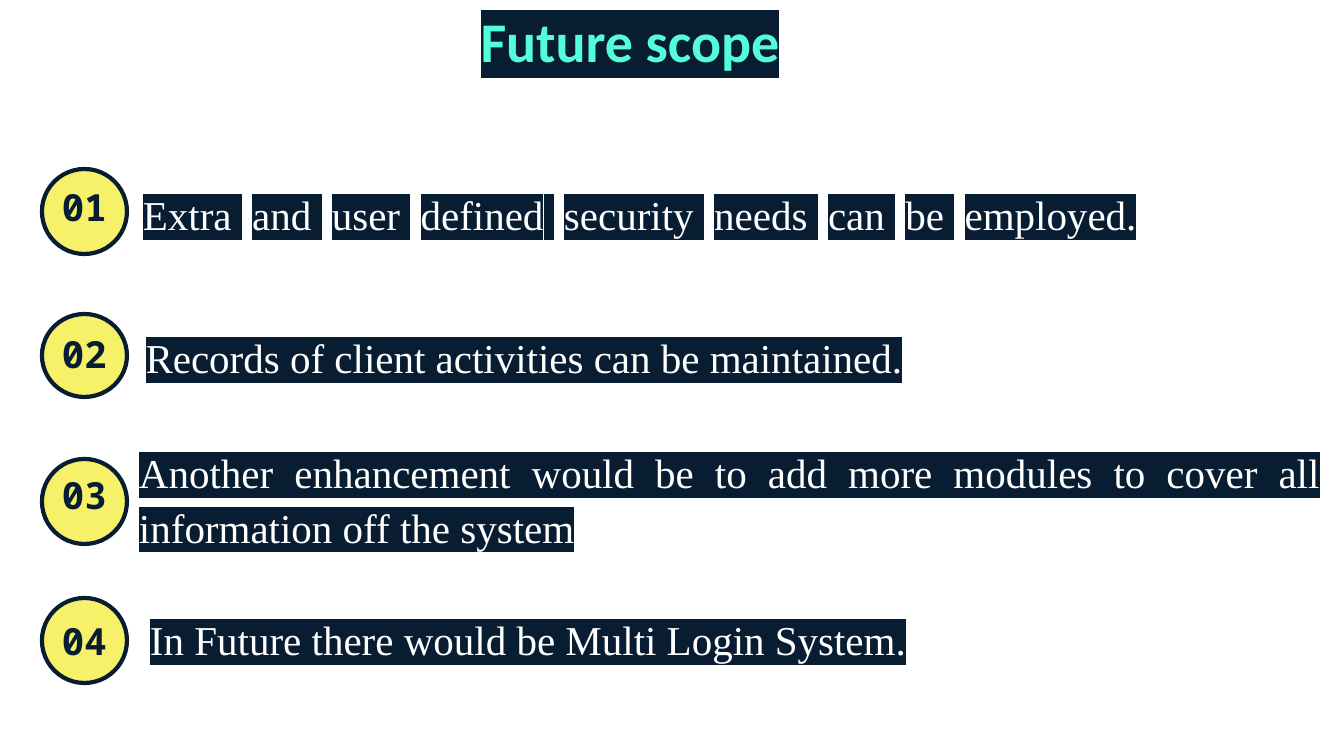
"""Build the "Future scope" slide: a title and four numbered points."""
from lxml import etree
from pptx import Presentation
from pptx.dml.color import RGBColor
from pptx.enum.shapes import MSO_SHAPE as Shape
from pptx.enum.text import MSO_ANCHOR as Anchor, PP_ALIGN as Align
from pptx.oxml.ns import qn
from pptx.util import Emu, Pt

NAVY = RGBColor(0x08, 0x1D, 0x32)
MINT = RGBColor(0x53, 0xFD, 0xD8)
YELLOW = RGBColor(0xF7, 0xF1, 0x69)
WHITE = RGBColor(0xFF, 0xFF, 0xFF)

TITLE = "Future scope"
POINTS = [
    dict(number="01", text="Extra and user defined security needs can be employed.",
         box=(106, 172, 1175, 151), inset=37, align=Align.JUSTIFY,
         circle=(169, 85), label_top=179, word_gap=7.3),
    dict(number="02", text="Records of client activities can be maintained.",
         box=(106, 315, 836, 151), inset=0, align=Align.CENTER,
         circle=(314, 83), label_top=327, word_gap=0),
    dict(number="03", text="Another enhancement would be to add more modules to cover all "
                           "information off the system",
         box=(126, 430, 1207, 151), inset=13, align=Align.JUSTIFY,
         circle=(459, 85), label_top=467, word_gap=0),
    dict(number="04", text="In Future there would be Multi Login System.",
         box=(137, 597, 1207, 151), inset=13, align=Align.JUSTIFY,
         circle=(598, 85), label_top=613, word_gap=0),
]
SLIDE_SIZE = (1344, 756)
TITLE_BOX = (64, -9, 1132, 104)
CIRCLE_LEFT, CIRCLE_WIDTH, LABEL_HEIGHT = 42, 85, 54
INSET, TITLE_INSET = 13, 16


def px(length):
    return Emu(round(length * 914400 / 100.8))


def add_box(slide, box, align, side=INSET, top=INSET, anchor=Anchor.TOP):
    frame = slide.shapes.add_textbox(*map(px, box)).text_frame
    frame.word_wrap = True
    frame.vertical_anchor = anchor
    frame.margin_left = frame.margin_right = px(side)
    frame.margin_top, frame.margin_bottom = px(top), px(INSET)
    paragraph = frame.paragraphs[0]
    paragraph.alignment = align
    return paragraph


def add_run(paragraph, text, font, size, color, bold=False, highlight=None, gap=0):
    run = paragraph.add_run()
    run.text = text
    run.font.name, run.font.size, run.font.bold = font, Pt(size), bold
    run.font.color.rgb = color
    properties = run.font._element
    if highlight is not None:
        marker = etree.Element(qn("a:highlight"))
        etree.SubElement(marker, qn("a:srgbClr"), val=str(highlight))
        properties.find(qn("a:solidFill")).addnext(marker)
    if gap:
        properties.set("spc", str(round(gap * 100)))


def add_number(slide, point):
    top, height = point["circle"]
    circle = slide.shapes.add_shape(
        Shape.OVAL, *map(px, (CIRCLE_LEFT, top, CIRCLE_WIDTH, height)))
    circle.shadow.inherit = False
    circle.fill.solid()
    circle.fill.fore_color.rgb = YELLOW
    circle.line.color.rgb = NAVY
    circle.line.width = Pt(3)
    label = add_box(slide, (CIRCLE_LEFT, point["label_top"], CIRCLE_WIDTH, LABEL_HEIGHT),
                    Align.CENTER, anchor=Anchor.MIDDLE)
    add_run(label, point["number"], "Noto Sans Mono", 26.7, NAVY, bold=True)


def add_statement(slide, point):
    statement = add_box(slide, point["box"], point["align"], side=point["inset"])
    statement.line_spacing = 1.1
    statement.space_after = Pt(21.3)
    gap = point["word_gap"]
    pieces = [point["text"]]
    if gap:
        pieces = point["text"].replace(" ", "\n \n").split("\n")
    for piece in pieces:
        add_run(statement, piece, "Times New Roman", 29.3, WHITE, highlight=NAVY,
                gap=gap if piece == " " else 0)


def main():
    deck = Presentation()
    deck.slide_width, deck.slide_height = map(px, SLIDE_SIZE)
    slide = deck.slides.add_slide(deck.slide_layouts[6])
    slide.background.fill.solid()
    slide.background.fill.fore_color.rgb = WHITE
    title = add_box(slide, TITLE_BOX, Align.CENTER, top=TITLE_INSET)
    add_run(title, TITLE, "Calibri", 40, MINT, bold=True, highlight=NAVY)
    for point in POINTS:
        add_statement(slide, point)
        add_number(slide, point)
    deck.save("out.pptx")


if __name__ == "__main__":
    main()
